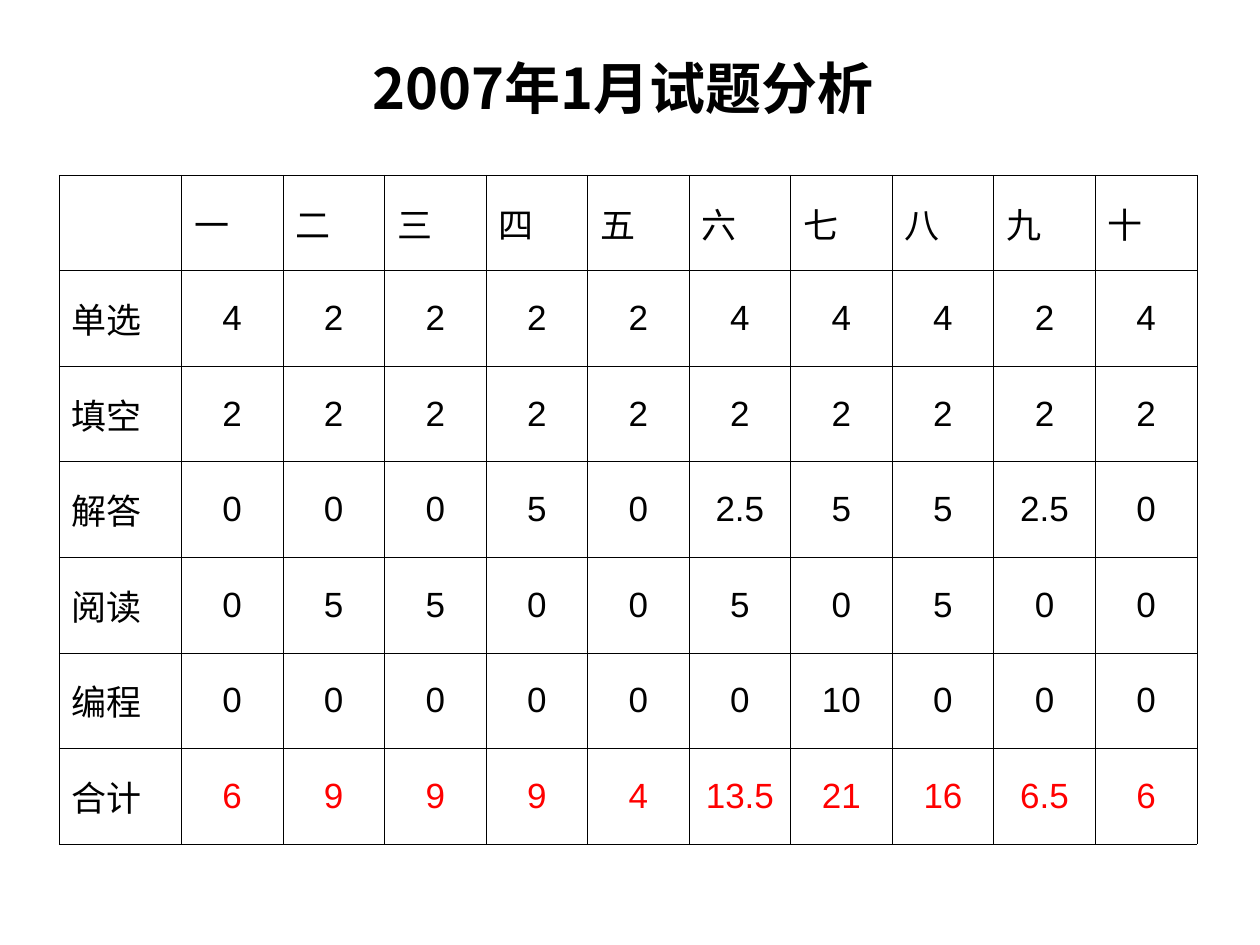
from dataclasses import dataclass

from lxml.etree import SubElement
from pptx import Presentation
from pptx.dml.color import RGBColor
from pptx.enum.text import MSO_ANCHOR as Anchor, MSO_AUTO_SIZE as AutoSize, PP_ALIGN as Align
from pptx.oxml.ns import qn
from pptx.slide import Slide
from pptx.table import _Cell as Cell
from pptx.text.text import _Paragraph as Paragraph
from pptx.util import Inches, Pt

BLACK = RGBColor(0x00, 0x00, 0x00)
RED = RGBColor(0xFF, 0x00, 0x00)
CHINESE_FONT = "Noto Sans CJK SC"
NUMBER_FONT = "Arial"
TABLE_WIDTH = 9.03
TABLE_HEIGHT = 5.31
LABEL_WIDTH = 0.97
BORDER_WIDTH = Pt(0.45)


@dataclass(frozen=True)
class TextStyle:
    font: str
    size: int
    color: RGBColor = BLACK
    bold: bool = False
    align: Align = Align.LEFT


@dataclass(frozen=True)
class QuestionType:
    label: str
    scores: tuple[float, ...]
    color: RGBColor = BLACK


TITLE_STYLE = TextStyle(CHINESE_FONT, 32, bold=True, align=Align.CENTER)
LABEL_STYLE = TextStyle(CHINESE_FONT, 20)
CHAPTERS = "一二三四五六七八九十"
QUESTIONS = [
    QuestionType("单选", (4, 2, 2, 2, 2, 4, 4, 4, 2, 4)),
    QuestionType("填空", (2, 2, 2, 2, 2, 2, 2, 2, 2, 2)),
    QuestionType("解答", (0, 0, 0, 5, 0, 2.5, 5, 5, 2.5, 0)),
    QuestionType("阅读", (0, 5, 5, 0, 0, 5, 0, 5, 0, 0)),
    QuestionType("编程", (0, 0, 0, 0, 0, 0, 10, 0, 0, 0)),
]
TOTAL = QuestionType("合计", tuple(map(sum, zip(*(q.scores for q in QUESTIONS)))), RED)


def write(paragraph: Paragraph, text: str, style: TextStyle) -> None:
    paragraph.text = text
    paragraph.alignment = style.align
    font = paragraph.font
    font.name = style.font
    font.size = Pt(style.size)
    font.bold = style.bold
    font.color.rgb = style.color
    defaults = paragraph._p.pPr.find(qn("a:defRPr"))
    SubElement(defaults, qn("a:ea"), typeface=CHINESE_FONT)


def add_borders(cell: Cell) -> None:
    properties = cell._tc.get_or_add_tcPr()
    for position, side in enumerate(("lnL", "lnR", "lnT", "lnB")):
        line = SubElement(properties, qn(f"a:{side}"), w=str(BORDER_WIDTH))
        fill = SubElement(line, qn("a:solidFill"))
        SubElement(fill, qn("a:srgbClr"), val=str(BLACK))
        properties.insert(position, line)


def fill_cell(cell: Cell, text: str, style: TextStyle) -> None:
    cell.fill.background()
    cell.vertical_anchor = Anchor.MIDDLE
    add_borders(cell)
    write(cell.text_frame.paragraphs[0], text, style)


def add_title(page: Slide, text: str) -> None:
    title = page.shapes.title
    title.left, title.top = Inches(0.64), Inches(0.21)
    title.width, title.height = Inches(8.61), Inches(0.8)
    frame = title.text_frame
    frame.auto_size = AutoSize.NONE
    frame.vertical_anchor = Anchor.MIDDLE
    write(frame.paragraphs[0], text, TITLE_STYLE)
    frame.paragraphs[0].line_spacing = 1.3


def add_score_table(page: Slide, questions: list[QuestionType]) -> None:
    row_count, column_count = len(questions) + 1, len(CHAPTERS) + 1
    table = page.shapes.add_table(
        row_count, column_count, Inches(0.47), Inches(1.39),
        Inches(TABLE_WIDTH), Inches(TABLE_HEIGHT),
    ).table
    table.first_row = table.horz_banding = False
    for column in table.columns:
        column.width = Inches((TABLE_WIDTH - LABEL_WIDTH) / len(CHAPTERS))
    table.columns[0].width = Inches(LABEL_WIDTH)
    for row in table.rows:
        row.height = Inches(TABLE_HEIGHT / row_count)

    for index, label in enumerate(["", *CHAPTERS]):
        fill_cell(table.cell(0, index), label, LABEL_STYLE)
    for row_index, question in enumerate(questions, start=1):
        fill_cell(table.cell(row_index, 0), question.label, LABEL_STYLE)
        style = TextStyle(NUMBER_FONT, 20, question.color, align=Align.CENTER)
        for index, score in enumerate(question.scores, start=1):
            fill_cell(table.cell(row_index, index), f"{score:g}", style)


def main() -> None:
    deck = Presentation()
    deck.slide_width, deck.slide_height = Inches(10), Inches(7.5)
    page = deck.slides.add_slide(deck.slide_layouts[5])
    add_title(page, "2007年1月试题分析")
    add_score_table(page, [*QUESTIONS, TOTAL])
    deck.save("out.pptx")


if __name__ == "__main__":
    main()
